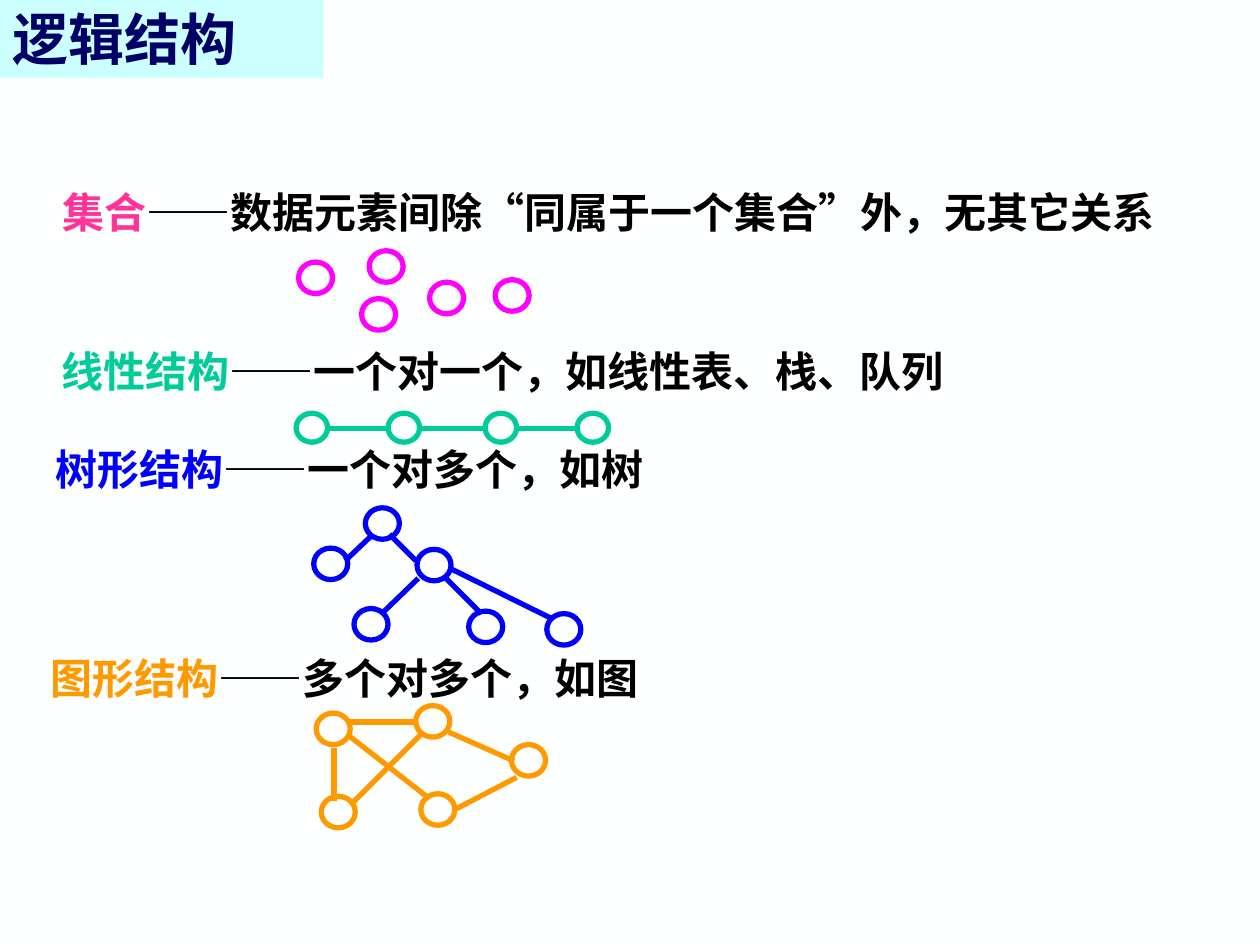
from dataclasses import dataclass
from itertools import pairwise

from lxml.etree import SubElement
from pptx import Presentation
from pptx.dml.color import RGBColor
from pptx.enum.shapes import MSO_CONNECTOR, MSO_SHAPE
from pptx.enum.text import MSO_ANCHOR, MSO_AUTO_SIZE, PP_ALIGN
from pptx.oxml.ns import qn
from pptx.util import Inches, Pt


@dataclass(frozen=True)
class Theme:
    font: str = "Noto Sans CJK SC"
    background: str = "FEFFFF"
    banner: str = "CCFFFF"
    title: str = "000066"
    body: str = "000000"
    set_label: str = "FF3399"
    set_nodes: str = "FF00FF"
    linear: str = "00CC99"
    tree: str = "0000FF"
    graph: str = "FF9900"
    title_size: int = 32
    body_size: int = 24
    stroke: int = 3


class SlideBuilder:
    COLUMNS, ROWS = 10, 7.5

    def __init__(self, prs, theme):
        self.theme = theme
        self.width, self.height = prs.slide_width, prs.slide_height
        self.s = prs.slides.add_slide(prs.slide_layouts[6])
        fill = self.s.background.fill
        fill.solid()
        fill.fore_color.rgb = RGBColor.from_string(theme.background)

    def x(self, columns):
        return round(self.width * columns / self.COLUMNS)

    def y(self, rows):
        return round(self.height * rows / self.ROWS)

    def box(self, left, top, width, height):
        return self.x(left), self.y(top), self.x(width), self.y(height)

    def run(self, p, text, size, color):
        r = p.add_run()
        r.text = text
        r.font.name = self.theme.font
        r.font.size = Pt(size)
        r.font.bold = True
        r.font.color.rgb = RGBColor.from_string(color)
        SubElement(r.font._element, qn("a:ea")).set("typeface", self.theme.font)

    def banner(self, text, width, height):
        sp = self.s.shapes.add_shape(MSO_SHAPE.RECTANGLE, *self.box(0, 0, width, height))
        sp.shadow.inherit = False
        sp.fill.solid()
        sp.fill.fore_color.rgb = RGBColor.from_string(self.theme.banner)
        sp.line.fill.background()
        tf = sp.text_frame
        tf.vertical_anchor = MSO_ANCHOR.BOTTOM
        p = tf.paragraphs[0]
        p.alignment = PP_ALIGN.LEFT
        self.run(p, text, self.theme.title_size, self.theme.title)

    def definition(self, left, top, label, text, color):
        size = self.theme.body_size
        width = len(label + text) * size / 72 + 0.2
        tf = self.s.shapes.add_textbox(*self.box(left, top, width, 0.5)).text_frame
        tf.word_wrap = False
        tf.auto_size = MSO_AUTO_SIZE.SHAPE_TO_FIT_TEXT
        p = tf.paragraphs[0]
        self.run(p, label, size, color)
        self.run(p, text, size, self.theme.body)

    def stroke(self, sp, color):
        sp.line.color.rgb = RGBColor.from_string(color)
        sp.line.width = Pt(self.theme.stroke)

    def node(self, group, left, top, size, color):
        sp = group.shapes.add_shape(MSO_SHAPE.OVAL, *self.box(left, top, *size))
        sp.shadow.inherit = False
        sp.fill.background()
        self.stroke(sp, color)

    def edge(self, group, x1, y1, x2, y2, color):
        sp = group.shapes.add_connector(
            MSO_CONNECTOR.STRAIGHT, self.x(x1), self.y(y1), self.x(x2), self.y(y2))
        SubElement(sp._element.spPr, qn("a:effectLst"))
        self.stroke(sp, color)

    def diagram(self, nodes, edges, color, size=(0.27, 0.25)):
        group = self.s.shapes.add_group_shape()
        for left, top in nodes:
            self.node(group, left, top, size, color)
        for ends in edges:
            self.edge(group, *ends, color)


def main():
    prs = Presentation()
    prs.slide_width, prs.slide_height = Inches(10), Inches(7.5)
    theme = Theme()
    slide = SlideBuilder(prs, theme)

    set_nodes = [(2.37, 2.08), (2.93, 1.99), (2.87, 2.37), (3.41, 2.24), (3.93, 2.22)]
    slide.diagram(set_nodes, [], theme.set_nodes)

    list_size = (0.25, 0.23)
    list_nodes = [(left, 3.28) for left in (2.35, 3.08, 3.85, 4.58)]
    list_edges = [(a + list_size[0], 3.4, b, 3.4)
                  for (a, _), (b, _) in pairwise(list_nodes)]
    slide.diagram(list_nodes, list_edges, theme.linear, list_size)

    tree_nodes = [(2.9, 4.03), (2.49, 4.35), (3.31, 4.36),
                  (2.81, 4.83), (3.72, 4.85), (4.34, 4.87)]
    tree_edges = [(2.94, 4.26, 2.74, 4.45), (3.32, 4.59, 3.03, 4.87),
                  (3.09, 4.24, 3.3, 4.45), (3.52, 4.57, 3.82, 4.87),
                  (3.57, 4.51, 4.38, 4.91)]
    slide.diagram(tree_nodes, tree_edges, theme.tree)

    graph_nodes = [(3.3, 5.6), (2.55, 6.32), (3.34, 6.3), (4.06, 5.91), (2.51, 5.66)]
    graph_edges = [(2.65, 5.94, 2.65, 6.36), (2.77, 5.84, 3.41, 6.34),
                   (3.56, 5.81, 4.08, 6.04), (3.35, 5.82, 2.79, 6.38),
                   (4.1, 6.17, 3.62, 6.42), (2.77, 5.73, 3.31, 5.73)]
    slide.diagram(graph_nodes, graph_edges, theme.graph)

    definitions = [
        (0.39, 2.69, "线性结构", "——一个对一个，如线性表、栈、队列", theme.linear),
        (0.34, 3.47, "树形结构", "——一个对多个，如树", theme.tree),
        (0.4, 1.43, "集合", "——数据元素间除“同属于一个集合”外，无其它关系", theme.set_label),
        (0.3, 5.13, "图形结构", "——多个对多个，如图", theme.graph),
    ]
    for definition in definitions:
        slide.definition(*definition)

    slide.banner("逻辑结构", 2.57, 0.62)
    prs.save("out.pptx")


if __name__ == "__main__":
    main()
